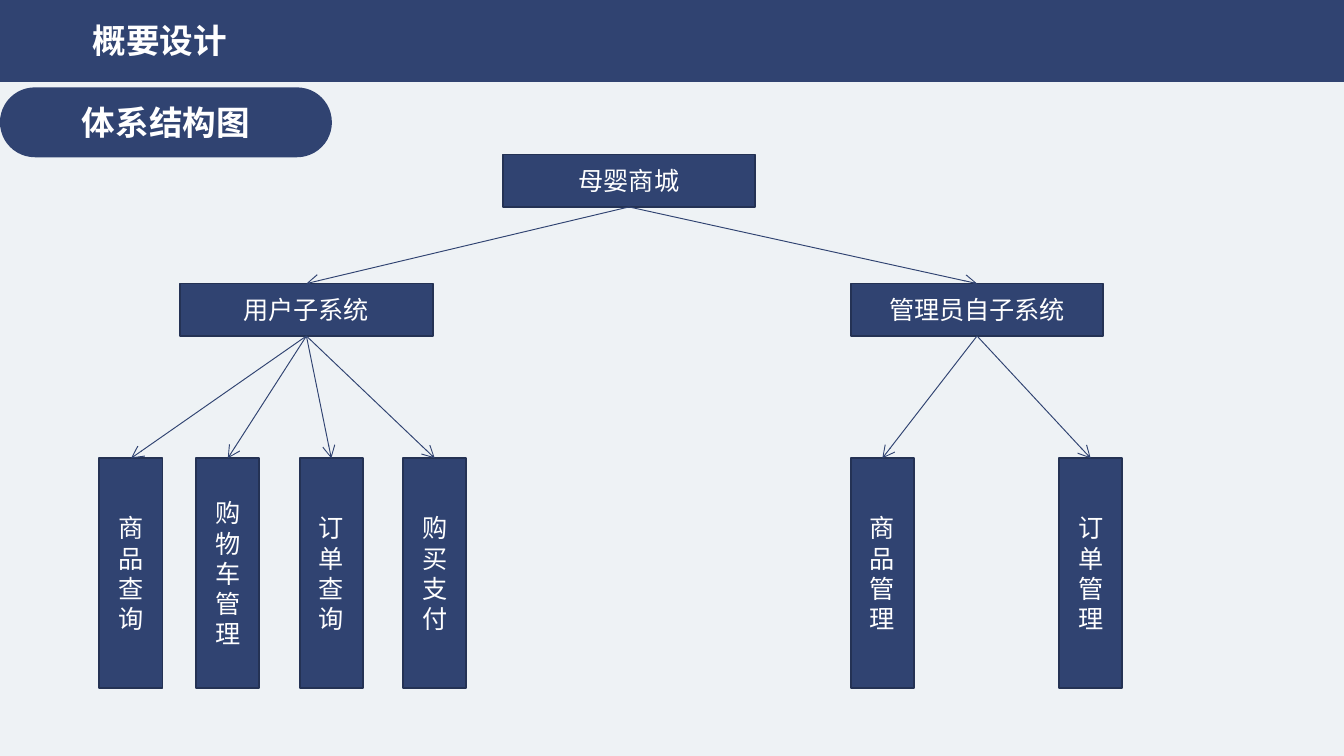
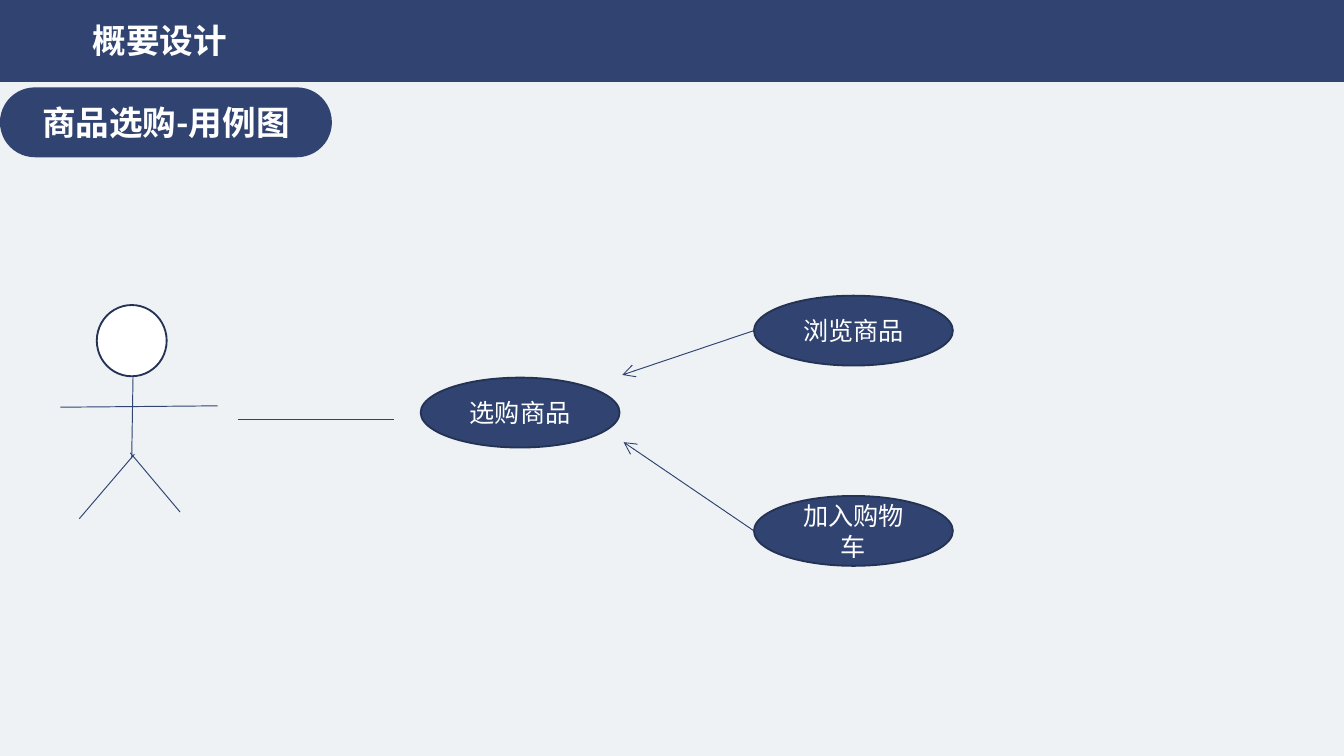
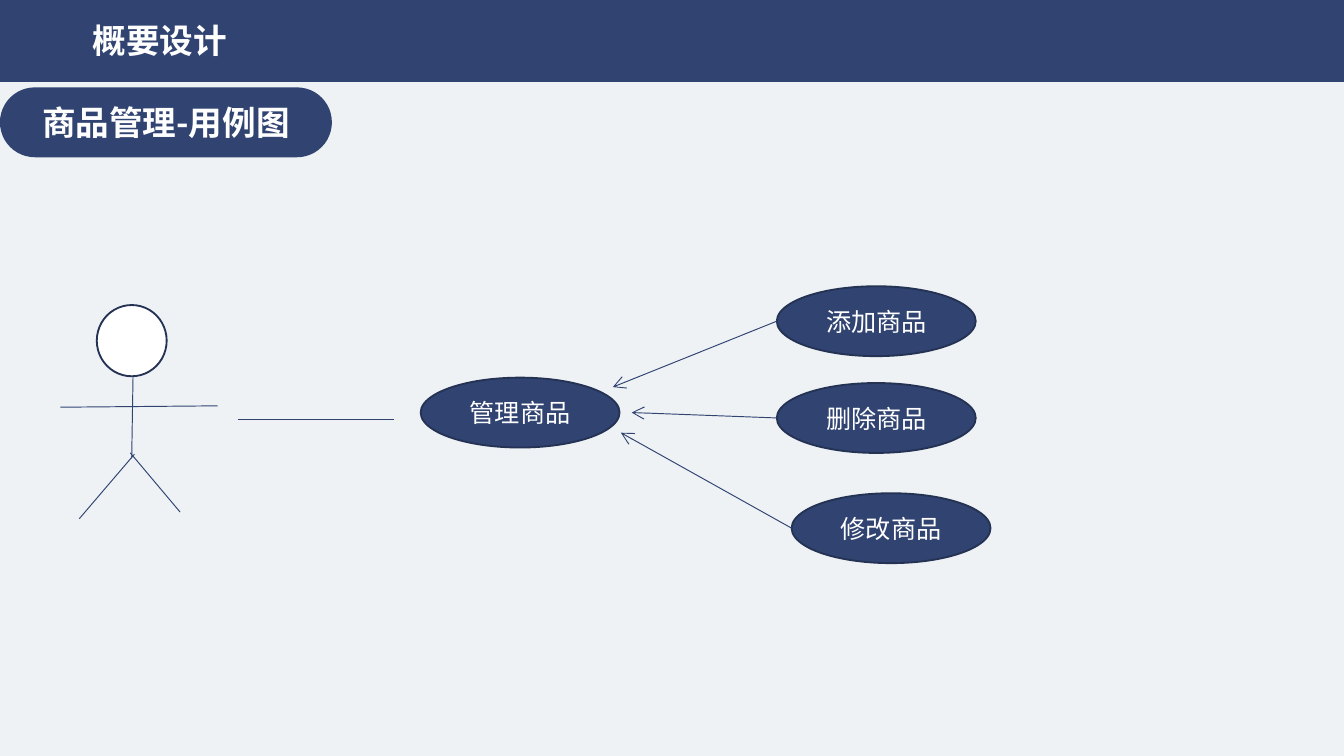
"""Build three overview-design slides: a system tree and two use-case diagrams."""
from lxml.etree import SubElement
from pptx import Presentation
from pptx.dml.color import RGBColor
from pptx.enum.shapes import MSO_CONNECTOR, MSO_SHAPE
from pptx.enum.text import MSO_ANCHOR, PP_ALIGN
from pptx.oxml.ns import qn
from pptx.util import Inches, Pt

NAVY = RGBColor(0x30, 0x43, 0x71)
DARK_NAVY = RGBColor(0x24, 0x32, 0x54)
WHITE = RGBColor(0xFF, 0xFF, 0xFF)
PALE = RGBColor(0xEE, 0xF2, 0xF5)
HEADING_FONT = "Noto Sans CJK SC"
BODY_FONT = "Calibri"
HEADING = {"size": 18, "font": HEADING_FONT, "bold": True}

NODE_SIZE = (1.88, 0.39)
LEAF_SIZE = (0.47, 1.71)
CASE_SIZE = (1.48, 0.52)
SUBSYSTEM_TOP = 2.11
LEAF_TOP = 3.41
SUBSYSTEMS = [
    ("管理员自子系统", 6.33, [("商品管理", 6.33), ("订单管理", 7.88)]),
    ("用户子系统", 1.34, [("商品查询", 0.74), ("购物车管理", 1.46),
                     ("订单查询", 2.23), ("购买支付", 3)]),
]
ACTOR_LIMBS = [
    ((0.45, 3.03), (1.62, 3.02)),
    ((0.99, 2.8), (0.98, 3.41)),
    ((1, 3.38), (0.59, 3.86)),
    ((0.97, 3.37), (1.34, 3.81)),
]
PURCHASE_CASES = [
    ("加入购物车", (5.61, 3.69), (4.64, 3.29)),
    ("浏览商品", (5.61, 2.2), (4.63, 2.79)),
]
MANAGEMENT_CASES = [
    ("修改商品", (5.89, 3.67), (4.62, 3.22)),
    ("添加商品", (5.78, 2.13), (4.56, 2.88)),
    ("删除商品", (5.78, 2.85), (4.7, 3.07)),
]


def write_text(shape, text, size=13.5, font=BODY_FONT, bold=False, margin=0.1):
    """Put centred white text into a shape."""
    frame = shape.text_frame
    frame.word_wrap = True
    frame.margin_left = frame.margin_right = Inches(margin)
    frame.vertical_anchor = MSO_ANCHOR.MIDDLE
    paragraph = frame.paragraphs[0]
    paragraph.alignment = PP_ALIGN.CENTER
    run = paragraph.add_run()
    run.text = text
    run.font.size = Pt(size)
    run.font.bold = bold
    run.font.color.rgb = WHITE
    run.font.name = font
    SubElement(run.font._element, qn("a:ea")).set("typeface", HEADING_FONT)


def add_block(slide, kind, position, size, fill=NAVY, outline=DARK_NAVY):
    """Add a flat filled shape, outlined unless outline is None."""
    block = slide.shapes.add_shape(kind, *map(Inches, (*position, *size)))
    block.shadow.inherit = False
    block.fill.solid()
    block.fill.fore_color.rgb = fill
    if outline is None:
        block.line.fill.background()
    else:
        block.line.color.rgb = outline
        block.line.width = Pt(1)
    return block


def add_labelled(slide, kind, text, position, size):
    """Add an outlined navy shape with a label."""
    block = add_block(slide, kind, position, size)
    write_text(block, text)
    return block


def add_line(slide, start=(0, 0), end=(0, 0), arrow=False):
    """Add a thin straight line, with an open arrowhead if wanted."""
    line = slide.shapes.add_connector(
        MSO_CONNECTOR.STRAIGHT, *map(Inches, (*start, *end)))
    line.line.color.rgb = NAVY
    line.line.width = Pt(0.5)
    if arrow:
        SubElement(line.line._get_or_add_ln(), qn("a:tailEnd")).set("type", "arrow")
    SubElement(line._element.spPr, qn("a:effectLst"))
    return line


def link_down(slide, parent, child):
    """Draw an arrow from the bottom of parent to the top of child."""
    arrow = add_line(slide, arrow=True)
    arrow.begin_connect(parent, 2)
    arrow.end_connect(child, 0)


def add_band(layout, slide):
    """Place the top band on the layout, behind its placeholders."""
    band = add_block(slide, MSO_SHAPE.RECTANGLE, (0, 0), (10, 0.61), outline=None)
    band._element.nvSpPr.cNvPr.set("id", "20")
    layout.shapes._spTree.insert(2, band._element)


def add_topic_slide(prs, topic):
    """Add a slide with the section title and a topic pill."""
    slide = prs.slides.add_slide(prs.slide_layouts[5])
    title = slide.shapes.title
    title.left, title.top, title.width, title.height = map(
        Inches, (0.59, 0.1, 1.2, 0.4))
    write_text(title, "概要设计", margin=0, **HEADING)
    pill = add_block(slide, MSO_SHAPE.ROUNDED_RECTANGLE, (0, 0.65), (2.47, 0.52),
                     outline=None)
    pill.adjustments[0] = 0.5
    write_text(pill, topic, **HEADING)
    return slide


def add_system_tree(slide):
    """Draw the mall, its subsystems and their functions."""
    box = MSO_SHAPE.RECTANGLE
    mall = add_labelled(slide, box, "母婴商城", (3.74, 1.15), NODE_SIZE)
    for name, left, functions in SUBSYSTEMS:
        subsystem = add_labelled(slide, box, name, (left, SUBSYSTEM_TOP), NODE_SIZE)
        link_down(slide, mall, subsystem)
        for label, leaf_left in functions:
            leaf = add_labelled(slide, box, label, (leaf_left, LEAF_TOP), LEAF_SIZE)
            link_down(slide, subsystem, leaf)


def add_actor(slide):
    """Draw the stick figure."""
    add_block(slide, MSO_SHAPE.OVAL, (0.72, 2.27), (0.52, 0.53), fill=WHITE)
    for start, end in ACTOR_LIMBS:
        add_line(slide, start, end)


def add_use_cases(slide, main_case, cases):
    """Draw the actor, the main use case and the cases pointing to it."""
    add_labelled(slide, MSO_SHAPE.OVAL, main_case, (3.13, 2.81), CASE_SIZE)
    add_actor(slide)
    add_line(slide, (1.77, 3.12), (2.93, 3.12))
    for label, (left, top), target in cases:
        add_labelled(slide, MSO_SHAPE.OVAL, label, (left, top), CASE_SIZE)
        add_line(slide, (left, top + CASE_SIZE[1] / 2), target, arrow=True)


def main():
    """Build and save the presentation."""
    prs = Presentation()
    prs.slide_width = Inches(10)
    prs.slide_height = prs.slide_width * 9 // 16
    background = prs.slide_master.background.fill
    background.solid()
    background.fore_color.rgb = PALE

    structure = add_topic_slide(prs, "体系结构图")
    add_band(prs.slide_layouts[5], structure)
    add_system_tree(structure)
    add_use_cases(add_topic_slide(prs, "商品选购-用例图"), "选购商品", PURCHASE_CASES)
    add_use_cases(add_topic_slide(prs, "商品管理-用例图"), "管理商品", MANAGEMENT_CASES)
    prs.save("out.pptx")


if __name__ == "__main__":
    main()
